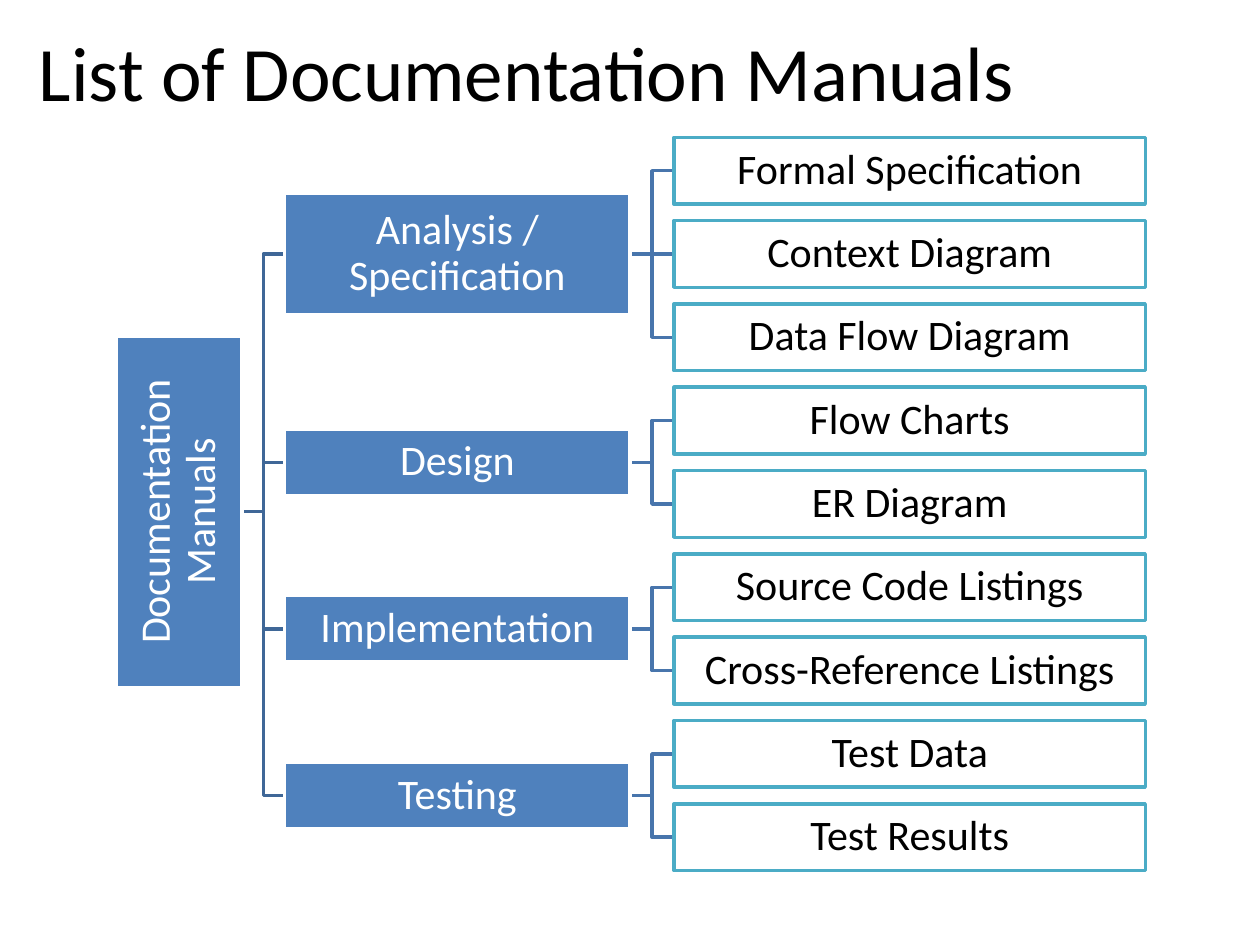
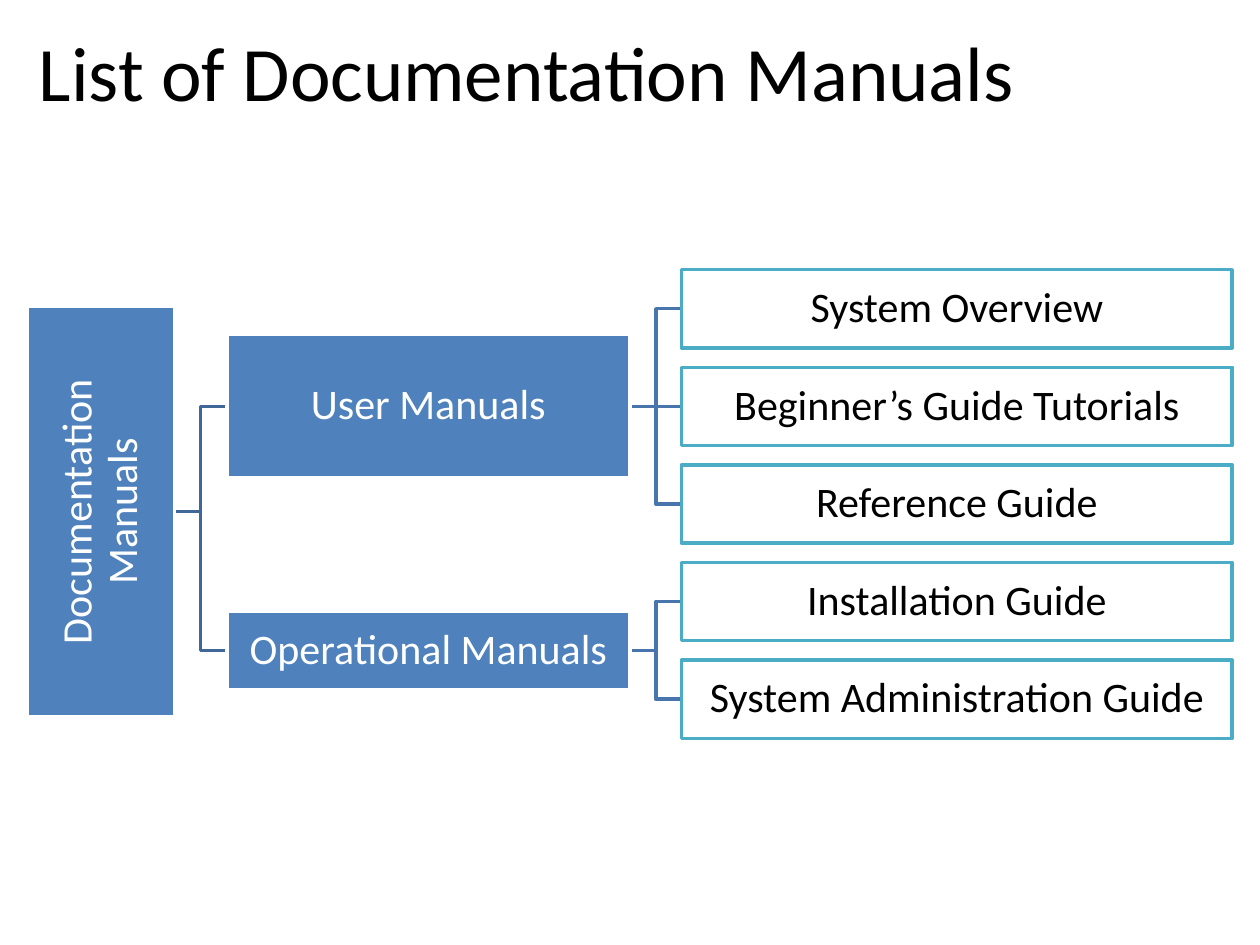
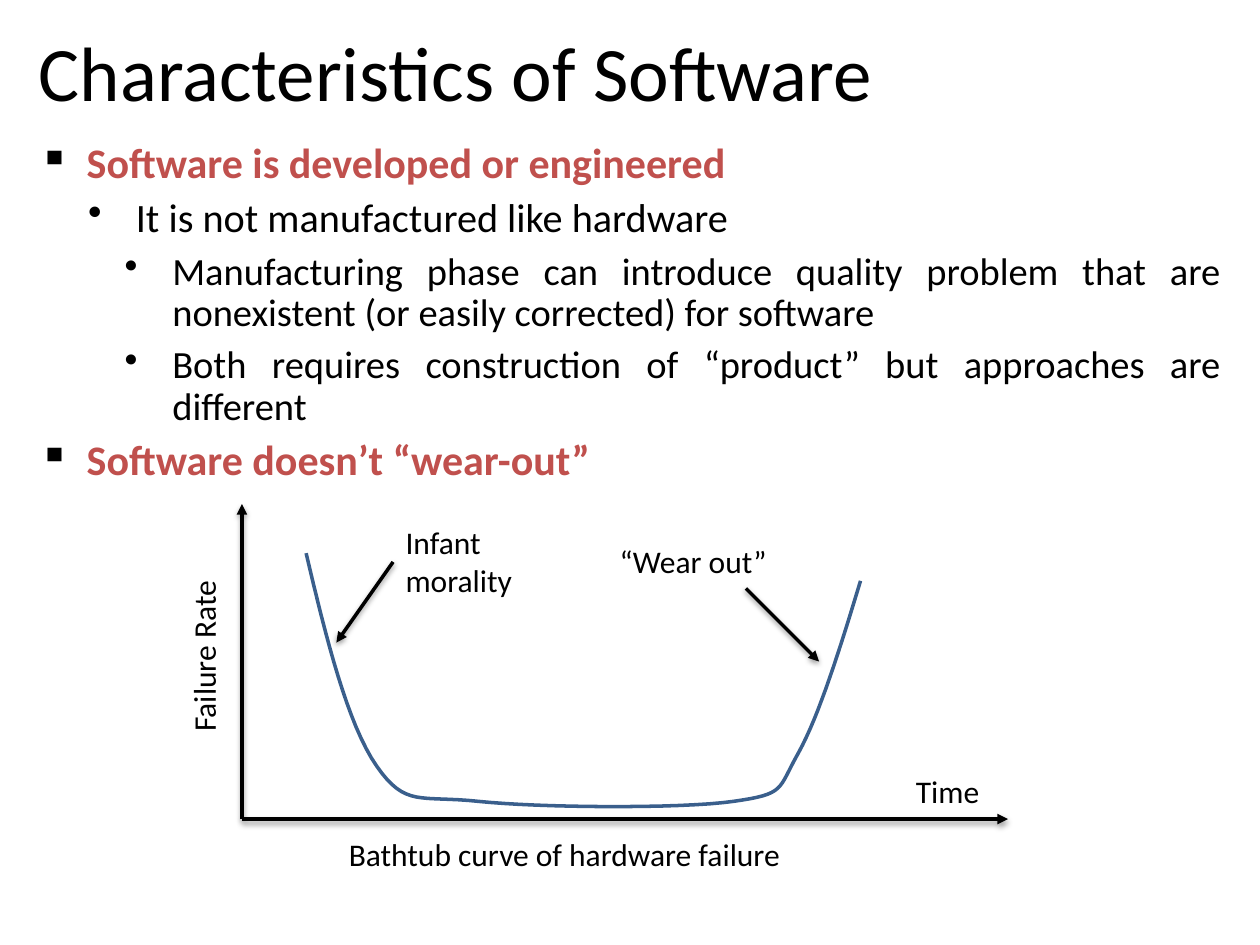
from lxml import etree
from pptx import Presentation
from pptx.dml.color import RGBColor as RGB
from pptx.enum.shapes import MSO_CONNECTOR as Conn, MSO_SHAPE as Kind
from pptx.enum.text import MSO_ANCHOR as Anchor, PP_ALIGN as Align
from pptx.oxml.ns import qn
from pptx.util import Inches, Pt


class Theme:
    font = "Calibri"
    black = RGB.from_string("000000")
    white = RGB.from_string("FFFFFF")
    blue = RGB.from_string("4F81BD")
    teal = RGB.from_string("4BACC6")
    red = RGB.from_string("C0504D")
    stem = RGB.from_string("3F6797")
    twig = RGB.from_string("4875AC")
    curve = RGB.from_string("3A5F8C")
    title = 44
    box = 24
    levels = [24, 23, 22]
    label = 18
    line = Pt(2)


def say(para, text, size, color=Theme.black, bold=False):
    run = para.add_run()
    run.text = text
    font = run.font
    font.name, font.size, font.bold = Theme.font, Pt(size), bold
    font.color.rgb = color


def trace(slide, points, color):
    points = [(Inches(x), Inches(y)) for x, y in points]
    pen = slide.shapes.build_freeform(*points[0])
    pen.add_line_segments(points[1:], close=False)
    shape = pen.convert_to_shape()
    shape.fill.background()
    shape.line.color.rgb = color
    shape.line.width = Theme.line
    shape.shadow.inherit = False


deck = Presentation()
deck.slide_width, deck.slide_height = Inches(10), Inches(7.5)
slides = []
for title in ["List of Documentation Manuals"] * 2 + ["Characteristics of Software"]:
    slide = deck.slides.add_slide(deck.slide_layouts[6])
    frame = slide.shapes.add_textbox(
        Inches(0.21), Inches(0.12), Inches(9.58), Inches(0.88)).text_frame
    frame.word_wrap = True
    frame.vertical_anchor = Anchor.MIDDLE
    say(frame.paragraphs[0], title, Theme.title)
    slides.append(slide)

trees = [
    dict(first=1.09, last=6.38, high=0.53, root=(1.42, 2.79, 1.0),
         node=(2.26, 2.74), leaf=(5.35, 3.74), nodes=[
             ("Analysis / Specification", 0.97,
              ["Formal Specification", "Context Diagram", "Data Flow Diagram"]),
             ("Design", 0.53, ["Flow Charts", "ER Diagram"]),
             ("Implementation", 0.53,
              ["Source Code Listings", "Cross-Reference Listings"]),
             ("Testing", 0.53, ["Test Data", "Test Results"])]),
    dict(first=2.14, last=5.24, high=0.62, root=(0.8, 3.26, 1.17),
         node=(1.8, 3.2), leaf=(5.41, 4.37), nodes=[
             ("User Manuals", 1.14,
              ["System Overview", "Beginner’s Guide Tutorials", "Reference Guide"]),
             ("Operational Manuals", 0.62,
              ["Installation Guide", "System Administration Guide"])]),
]
center = 4.06

for slide, tree in zip(slides, trees):
    mid, length, depth = tree["root"]
    node_x, node_w = tree["node"]
    leaf_x, leaf_w = tree["leaf"]
    high = tree["high"]
    count = sum(len(names) for _, _, names in tree["nodes"])
    step = (tree["last"] - tree["first"]) / (count - 1)
    boxes = [("Documentation Manuals", mid - length / 2, center - depth / 2,
              length, depth, Theme.blue, Theme.white, Theme.white)]
    joins = []
    row = tree["first"] + high / 2
    for name, tall, names in tree["nodes"]:
        node_y = row + step * (len(names) - 1) / 2
        start, end = mid + depth / 2, node_x
        bend = (start + end) / 2
        trace(slide, [(start, center), (bend, center), (bend, node_y), (end, node_y)],
              Theme.stem)
        parent = len(boxes)
        boxes.append((name, node_x, node_y - tall / 2, node_w, tall,
                      Theme.blue, Theme.white, Theme.white))
        start, end = node_x + node_w, leaf_x
        bend = (start + end) / 2
        for i, leaf in enumerate(names):
            if 2 * i == len(names) - 1:
                link = slide.shapes.add_connector(
                    Conn.STRAIGHT, Inches(start), Inches(row), Inches(end), Inches(row))
                link.line.color.rgb = Theme.twig
                link.line.width = Theme.line
                etree.SubElement(link._element.spPr, qn("a:effectLst"))
                joins.append((link, parent, len(boxes)))
            else:
                trace(slide, [(start, node_y), (bend, node_y), (bend, row), (end, row)],
                      Theme.twig)
            boxes.append((leaf, leaf_x, row - high / 2, leaf_w, high,
                          Theme.white, Theme.teal, Theme.black))
            row += step

    shapes = []
    for text, x, y, w, h, fill, edge, ink in boxes:
        box = slide.shapes.add_shape(
            Kind.RECTANGLE, Inches(x), Inches(y), Inches(w), Inches(h))
        box.shadow.inherit = False
        box.fill.solid()
        box.fill.fore_color.rgb = fill
        box.line.color.rgb = edge
        box.line.width = Theme.line
        frame = box.text_frame
        frame.word_wrap = True
        frame.margin_left = frame.margin_right = Inches(0.02)
        frame.margin_top = frame.margin_bottom = Inches(0.02)
        para = frame.paragraphs[0]
        para.alignment = Align.CENTER
        para.line_spacing = 0.9
        say(para, text, Theme.box, ink)
        shapes.append(box)
    shapes[0].rotation = 270
    for link, parent, child in joins:
        link.begin_connect(shapes[parent], 3)
        link.end_connect(shapes[child], 1)

slide = slides[2]
frame = slide.shapes.add_textbox(
    Inches(0.21), Inches(1.08), Inches(9.58), Inches(2.83)).text_frame
frame.word_wrap = True
indents = [0.38, 0.77, 1.06]
points = [
    (0, "Software is developed or engineered"),
    (1, "It is not manufactured like hardware"),
    (2, "Manufacturing phase can introduce quality problem that are "
        "nonexistent (or easily corrected) for software"),
    (2, "Both requires construction of “product” but approaches are different"),
    (0, "Software doesn’t “wear-out”"),
]
for i, (level, text) in enumerate(points):
    para = frame.add_paragraph() if i else frame.paragraphs[0]
    props = para._p.get_or_add_pPr()
    props.set("marL", str(Inches(indents[level])))
    props.set("indent", str(Inches(-0.38)))
    tint = etree.SubElement(props, qn("a:buClr"))
    etree.SubElement(tint, qn("a:srgbClr"), val=str(Theme.black))
    etree.SubElement(props, qn("a:buChar"), char="•" if level else "▪")
    para.level = level
    para.alignment = Align.JUSTIFY
    para.line_spacing = 0.9
    if i:
        para.space_before = Pt(6)
    say(para, text, Theme.levels[level], Theme.black if level else Theme.red, not level)

for x1, y1, x2, y2 in [(1.92, 6.5, 1.92, 4), (1.92, 6.5, 8, 6.5),
                       (3.12, 4.46, 2.67, 5.1), (5.92, 4.67, 6.5, 5.25)]:
    arrow = slide.shapes.add_connector(
        Conn.STRAIGHT, Inches(x1), Inches(y1), Inches(x2), Inches(y2))
    arrow.line.color.rgb = Theme.black
    arrow.line.width = Theme.line
    etree.SubElement(arrow.line._get_or_add_ln(), qn("a:tailEnd"), type="triangle")
    effect = etree.SubElement(arrow._element.spPr, qn("a:effectLst"))
    shade = etree.SubElement(effect, qn("a:outerShdw"), blurRad=str(Pt(3.1)),
                             dist=str(Pt(1.6)), dir="5400000", rotWithShape="0")
    tint = etree.SubElement(shade, qn("a:srgbClr"), val=str(Theme.black))
    etree.SubElement(tint, qn("a:alpha"), val="38000")

bath = [(2.43, 4.39)]
for a, b, c in [((2.59, 5.07), (2.76, 5.75), (2.99, 6.08)),
                ((3.22, 6.41), (3.33, 6.31), (3.8, 6.36)),
                ((4.27, 6.41), (5.4, 6.42), (5.82, 6.36)),
                ((6.24, 6.3), (6.17, 6.27), (6.34, 5.97)),
                ((6.5, 5.68), (6.67, 5.14), (6.83, 4.61))]:
    start = bath[-1]
    for i in range(1, 17):
        t = i / 16
        u = 1 - t
        bath.append(tuple(
            u**3 * p + 3 * u * u * t * q + 3 * u * t * t * r + t**3 * s
            for p, q, r, s in zip(start, a, b, c)))
trace(slide, bath, Theme.curve)

for lines, x, y, w, h, turn in [
        (["Infant", "morality"], 3.12, 4.1, 1.05, 0.71, 0),
        (["“Wear out”"], 4.82, 4.25, 1.37, 0.4, 0),
        (["Time"], 7.17, 6.08, 0.71, 0.4, 0),
        (["Failure Rate"], 0.91, 5, 1.41, 0.4, 270),
        (["Bathtub curve of hardware failure"], 2.67, 6.58, 3.67, 0.4, 0)]:
    label = slide.shapes.add_textbox(Inches(x), Inches(y), Inches(w), Inches(h))
    label.rotation = turn
    frame = label.text_frame
    frame.word_wrap = False
    for i, text in enumerate(lines):
        para = frame.add_paragraph() if i else frame.paragraphs[0]
        say(para, text, Theme.label)

deck.save("out.pptx")
